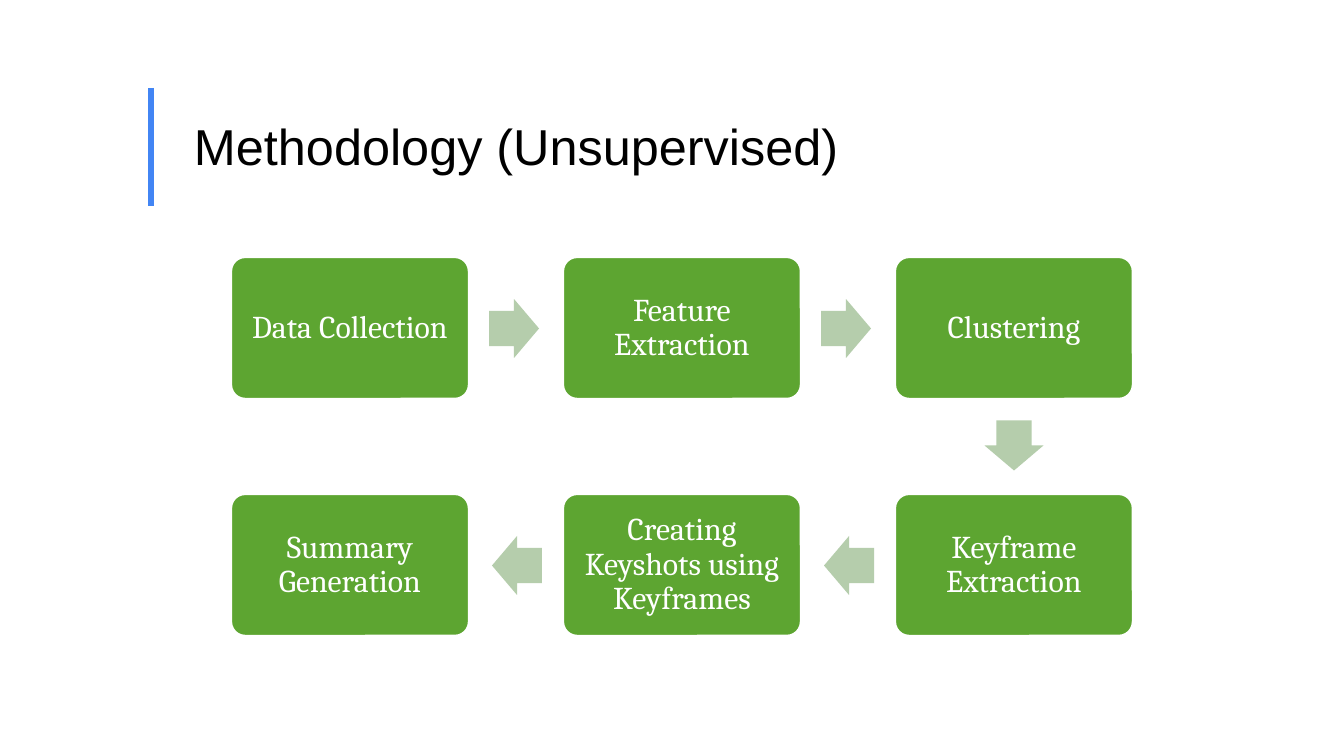
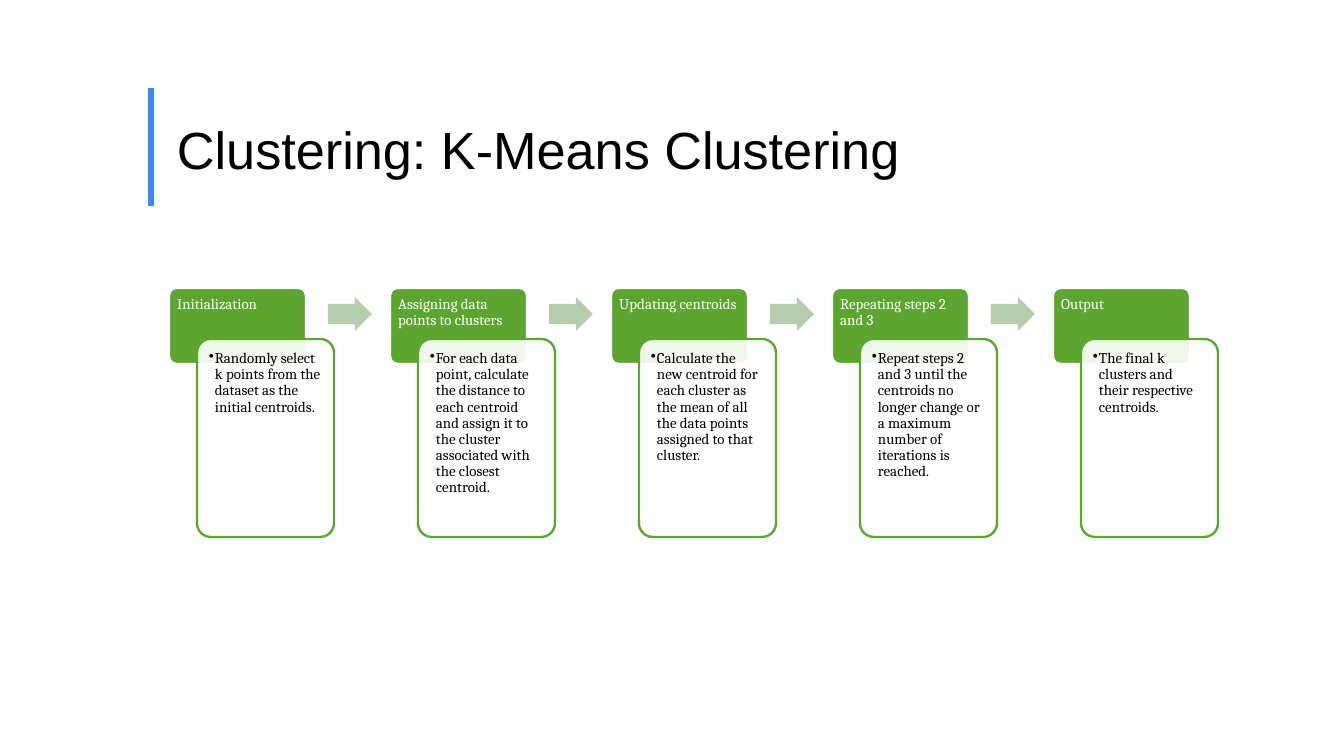
from lxml import etree
from pptx import Presentation
from pptx.dml.color import RGBColor
from pptx.enum.shapes import MSO_CONNECTOR, MSO_SHAPE
from pptx.enum.text import MSO_ANCHOR, PP_ALIGN
from pptx.oxml.ns import qn
from pptx.util import Pt

BLACK = RGBColor(0x00, 0x00, 0x00)
WHITE = RGBColor(0xFF, 0xFF, 0xFF)
BLUE = RGBColor(0x42, 0x85, 0xF4)
GREEN = RGBColor(0x5D, 0xA5, 0x31)
PALE_GREEN = RGBColor(0xB5, 0xCD, 0xAC)
PX = 914400 / 134.4


def add_block(slide, kind, box, fill, line=None):
    shape = slide.shapes.add_shape(kind, *(round(length * PX) for length in box))
    shape.shadow.inherit = False
    shape.fill.solid()
    shape.fill.fore_color.rgb = fill
    if line is None:
        shape.line.fill.background()
        shape.adjustments[0] = 0.6
    else:
        shape.line.color.rgb = line
        shape.line.width = Pt(1.25)
        shape.adjustments[0] = 0.1
    return shape


def write_text(shape, text, font, size, color, anchor, align, margins):
    frame = shape.text_frame
    frame.word_wrap = True
    frame.vertical_anchor = anchor
    horizontal, vertical = (round(margin * PX) for margin in margins)
    frame.margin_left = frame.margin_right = horizontal
    frame.margin_top = frame.margin_bottom = vertical
    paragraph = frame.paragraphs[0]
    paragraph.text = text
    paragraph.alignment = align
    paragraph.line_spacing = 0.9
    paragraph.font.name = font
    paragraph.font.size = Pt(size)
    paragraph.font.color.rgb = color
    return paragraph


presentation = Presentation()
presentation.slide_width = round(1344 * PX)
presentation.slide_height = round(756 * PX)

titles = [
    ("Methodology (Unsupervised)", 27, 185, 65),
    ("Clustering: K-Means Clustering", 28, 168, 70),
]
slides = []
for title, size, left, top in titles:
    slide = presentation.slides.add_slide(presentation.slide_layouts[6])
    accent = slide.shapes.add_connector(
        MSO_CONNECTOR.STRAIGHT,
        *(round(length * PX) for length in (151, 88, 151, 206)))
    accent.line.color.rgb = BLUE
    accent.line.width = Pt(3)
    etree.SubElement(accent.element.spPr, qn("a:effectLst"))
    title_box = slide.shapes.add_textbox(
        *(round(length * PX) for length in (left, top, 1050, 116)))
    write_text(title_box, title, "Arial", size, BLACK,
               MSO_ANCHOR.BOTTOM, PP_ALIGN.LEFT, (9, 5))
    slides.append(slide)
method_slide, cluster_slide = slides

steps = [
    ("Data Collection", 0, 0),
    ("Feature Extraction", 1, 0),
    ("Clustering", 2, 0),
    ("Keyframe Extraction", 2, 1),
    ("Creating Keyshots using Keyframes", 1, 1),
    ("Summary Generation", 0, 1),
]
for text, column, row in steps:
    left, top = 231 + 332 * column, 257 + 237 * row
    step = add_block(method_slide, MSO_SHAPE.ROUNDED_RECTANGLE,
                     (left, top, 238, 142), GREEN, WHITE)
    write_text(step, text, "Cambria", 17, WHITE,
               MSO_ANCHOR.MIDDLE, PP_ALIGN.CENTER, (9, 9))
    if row == 0 and column < 2:
        offset, rotation = (258, 42), 0
    elif row == 0:
        offset, rotation = (94, 159), 90
    elif column > 0:
        offset, rotation = (-71, 42), 180
    else:
        continue
    arrow = add_block(method_slide, MSO_SHAPE.RIGHT_ARROW,
                      (left + offset[0], top + offset[1], 50, 59), PALE_GREEN)
    arrow.rotation = rotation

stages = [
    ("Initialization",
     "Randomly select k points from the dataset as the initial centroids."),
    ("Assigning data points to clusters",
     "For each data point, calculate the distance to each centroid and assign "
     "it to the cluster associated with the closest centroid."),
    ("Updating centroids",
     "Calculate the new centroid for each cluster as the mean of all the data "
     "points assigned to that cluster."),
    ("Repeating steps 2 and 3",
     "Repeat steps 2 and 3 until the centroids no longer change or a maximum "
     "number of iterations is reached."),
    ("Output",
     "The final k clusters and their respective centroids."),
]
for index, (heading, description) in enumerate(stages):
    left = 169 + 221 * index
    header = add_block(cluster_slide, MSO_SHAPE.ROUNDED_RECTANGLE,
                       (left, 288, 137, 76), GREEN, WHITE)
    write_text(header, heading, "Cambria", 8, WHITE,
               MSO_ANCHOR.TOP, PP_ALIGN.LEFT, (6, 6))
    detail = add_block(cluster_slide, MSO_SHAPE.ROUNDED_RECTANGLE,
                       (left + 28, 339, 137, 198), WHITE, GREEN)
    fill_color = detail.element.spPr.find(qn("a:solidFill")).find(qn("a:srgbClr"))
    etree.SubElement(fill_color, qn("a:alpha"), val="90000")
    paragraph = write_text(detail, description, "Cambria", 8, BLACK,
                           MSO_ANCHOR.TOP, PP_ALIGN.LEFT, (8, 8))
    properties = paragraph._p.get_or_add_pPr()
    properties.set("marL", str(round(6 * PX)))
    properties.set("indent", str(round(-6 * PX)))
    bullet = etree.Element(qn("a:buChar"), char="•")
    properties.find(qn("a:defRPr")).addprevious(bullet)
    if index < len(stages) - 1:
        add_block(cluster_slide, MSO_SHAPE.RIGHT_ARROW,
                  (left + 159, 297, 44, 34), PALE_GREEN)

presentation.save("out.pptx")
